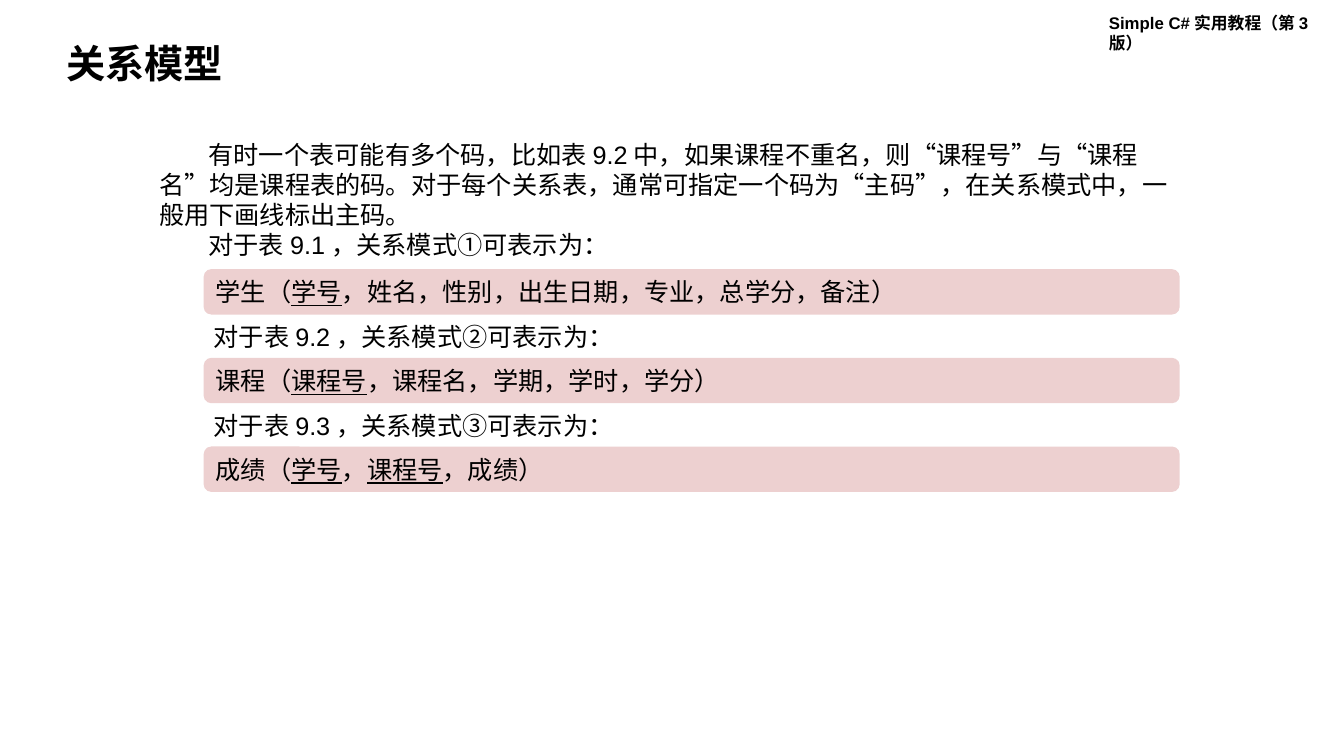
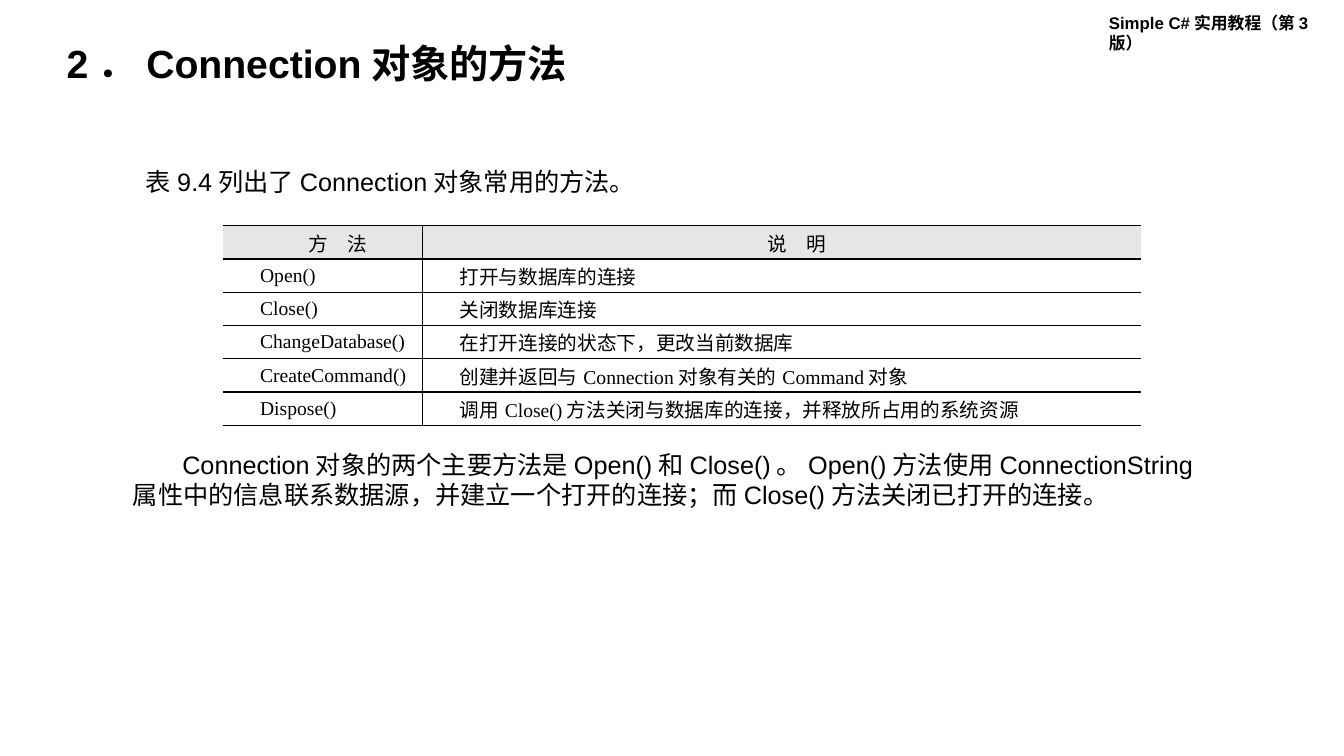
from dataclasses import dataclass

from lxml import etree
from pptx import Presentation
from pptx.dml.color import RGBColor
from pptx.enum.shapes import MSO_SHAPE
from pptx.enum.text import MSO_ANCHOR, MSO_AUTO_SIZE, PP_ALIGN
from pptx.oxml.ns import qn
from pptx.util import Inches, Pt

LEFT, CENTER, JUSTIFY = PP_ALIGN.LEFT, PP_ALIGN.CENTER, PP_ALIGN.JUSTIFY
MIDDLE = MSO_ANCHOR.MIDDLE
NO_AUTOFIT = MSO_AUTO_SIZE.NONE
ROUNDED = MSO_SHAPE.ROUNDED_RECTANGLE


@dataclass(frozen=True)
class Theme:
    """Colours, fonts and type sizes shared by the slides."""
    ink: RGBColor = RGBColor(0, 0, 0)
    band: RGBColor = RGBColor(0xED, 0xD0, 0xD0)
    table_head: RGBColor = RGBColor(0xE6, 0xE6, 0xE6)
    sans: str = "Arial"
    serif: str = "Times New Roman"
    title: int = 28
    body: int = 18
    cell: int = 14
    header: int = 12
    body_indent: float = 0.49
    cell_indent: float = 0.3


THEME = Theme()

METHODS = [
    ("方　法", "说　明"),
    ("Open()", "打开与数据库的连接"),
    ("Close()", "关闭数据库连接"),
    ("ChangeDatabase()", "在打开连接的状态下，更改当前数据库"),
    ("CreateCommand()", "创建并返回与Connection对象有关的Command对象"),
    ("Dispose()", "调用Close()方法关闭与数据库的连接，并释放所占用的系统资源"),
]

SCHEMAS = [
    "学生（_学号_，姓名，性别，出生日期，专业，总学分，备注）",
    "课程（_课程号_，课程名，学期，学时，学分）",
    "成绩（_学号_，_课程号_，成绩）",
]

SCHEMA_LABELS = ["对于表9.2，关系模式②可表示为：", "对于表9.3，关系模式③可表示为："]


def style_run(r, size, font=THEME.sans, bold=False):
    """Apply font, size and ink to a run."""
    r.font.name, r.font.size, r.font.bold = font, Pt(size), bold
    r.font.color.rgb = THEME.ink


def set_indent(p, inches):
    """Indent the first line of a paragraph."""
    pPr = p._p.get_or_add_pPr()
    pPr.set("marL", "0")
    pPr.set("indent", str(Inches(inches)))


def add_text(s, box, lines, size=THEME.body, bold=False, indent=0, wrap=True):
    """Add a text box with one paragraph per line."""
    sp = s.shapes.add_textbox(*map(Inches, box))
    tf = sp.text_frame
    tf.word_wrap = wrap
    tf.text = "\n".join(lines)
    for p in tf.paragraphs:
        set_indent(p, indent)
        for r in p.runs:
            style_run(r, size, bold=bold)
    return sp


def add_schema(s, box, schema):
    """Add a relation schema band, underlining the parts between underscores."""
    sp = s.shapes.add_shape(ROUNDED, *map(Inches, box))
    sp.shadow.inherit = False
    sp.fill.solid()
    sp.fill.fore_color.rgb = THEME.band
    sp.line.fill.background()
    tf = sp.text_frame
    tf.word_wrap = True
    tf.vertical_anchor = MIDDLE
    p = tf.paragraphs[0]
    p.alignment = LEFT
    for i, part in enumerate(schema.split("_")):
        r = p.add_run()
        r.text = part
        style_run(r, THEME.body)
        r.font.underline = i % 2 == 1


def set_borders(cell, **widths):
    """Draw black cell borders; a side of width 0 has none."""
    tcPr = cell._tc.get_or_add_tcPr()
    for side in "LRTB":
        width = widths.get(side, 0)
        ln = etree.SubElement(tcPr, qn(f"a:ln{side}"), w=str(Pt(width)))
        if width:
            fill = etree.SubElement(ln, qn("a:solidFill"))
            etree.SubElement(fill, qn("a:srgbClr"), val=str(THEME.ink))
        else:
            etree.SubElement(ln, qn("a:noFill"))


def fill_cell(cell, text, is_head):
    """Write and format one table cell."""
    cell.vertical_anchor = MIDDLE
    cell.margin_left = cell.margin_right = Inches(0.07)
    cell.margin_top = cell.margin_bottom = 0
    if is_head:
        cell.fill.solid()
        cell.fill.fore_color.rgb = THEME.table_head
    else:
        cell.fill.background()
    cell.text_frame.text = text
    p = cell.text_frame.paragraphs[0]
    p.alignment = CENTER if is_head else JUSTIFY
    set_indent(p, THEME.cell_indent)
    style_run(p.runs[0], THEME.cell, THEME.serif)


def add_grid(s, left, top, widths, row_height, rows):
    """Add a ruled table that is open at both sides."""
    tbl = s.shapes.add_table(
        len(rows), len(widths), Inches(left), Inches(top),
        Inches(sum(widths)), Inches(row_height * len(rows))).table
    tbl.first_row = tbl.horz_banding = False
    for column, width in zip(tbl.columns, widths):
        column.width = Inches(width)
    last_col = len(widths) - 1
    for i, row in enumerate(rows):
        tbl.rows[i].height = Inches(row_height)
        for j, text in enumerate(row):
            cell = tbl.cell(i, j)
            set_borders(cell, L=int(j > 0), R=int(j < last_col), T=1, B=1)
            fill_cell(cell, text, i == 0)


def setup_layout(prs):
    """Place the title on the shared layout."""
    layout = prs.slide_layouts.get_by_name("Title Only")
    title = layout.placeholders[0]
    title.left, title.top, title.width, title.height = map(
        Inches, (0.56, 0.39, 6.99, 0.52))
    return layout


def add_header(s):
    """Add the running header to the layout of a slide."""
    sp = add_text(s, (10.9, 0.08, 2.44, 0.3), ["Simple C#实用教程（第3版）"],
                  THEME.header, bold=True)
    sp.element.nvSpPr.cNvPr.set("id", "20")
    s.slide_layout.shapes.element.append(sp.element)


def add_slide(prs, layout, title):
    """Add a slide with its formatted title."""
    s = prs.slides.add_slide(layout)
    tf = s.shapes.title.text_frame
    tf.text = title
    tf.auto_size = NO_AUTOFIT
    tf.vertical_anchor = MIDDLE
    p = tf.paragraphs[0]
    p.alignment = LEFT
    p.line_spacing = 0.9
    style_run(p.runs[0], THEME.title, bold=True)
    return s


def build_relation_slide(prs, layout):
    """Build the slide on the relational model."""
    s = add_slide(prs, layout, "关系模型")
    add_text(s, (1.48, 1.33, 10.21, 1.31), [
        "有时一个表可能有多个码，比如表9.2中，如果课程不重名，则“课程号”与“课程名”"
        "均是课程表的码。对于每个关系表，通常可指定一个码为“主码”，在关系模式中，"
        "一般用下画线标出主码。",
        "对于表9.1，关系模式①可表示为：",
    ], indent=THEME.body_indent)
    left, top, pitch = 2.02, 2.67, 0.88
    for i, schema in enumerate(SCHEMAS):
        add_schema(s, (left, top + i * pitch, 9.68, 0.45), schema)
    for i, label in enumerate(SCHEMA_LABELS):
        add_text(s, (left, top + 0.47 + i * pitch, 4.09, 0.4), [label], wrap=False)
    return s


def build_methods_slide(prs, layout):
    """Build the slide on the methods of the Connection object."""
    s = add_slide(prs, layout, "2．Connection对象的方法")
    add_text(s, (1.35, 1.6, 4.86, 0.4),
             ["表9.4列出了Connection对象常用的方法。"], wrap=False)
    add_grid(s, 2.21, 2.24, (1.98, 7.13), 0.33, METHODS)
    add_text(s, (1.22, 4.41, 10.83, 0.71), [
        "Connection对象的两个主要方法是Open()和Close()。Open()方法使用"
        "ConnectionString属性中的信息联系数据源，并建立一个打开的连接；"
        "而Close()方法关闭已打开的连接。",
    ], indent=THEME.body_indent)


def main():
    """Build and save the presentation."""
    prs = Presentation()
    prs.slide_width, prs.slide_height = Inches(13.33), Inches(7.5)
    layout = setup_layout(prs)
    add_header(build_relation_slide(prs, layout))
    build_methods_slide(prs, layout)
    prs.save("out.pptx")


if __name__ == "__main__":
    main()
